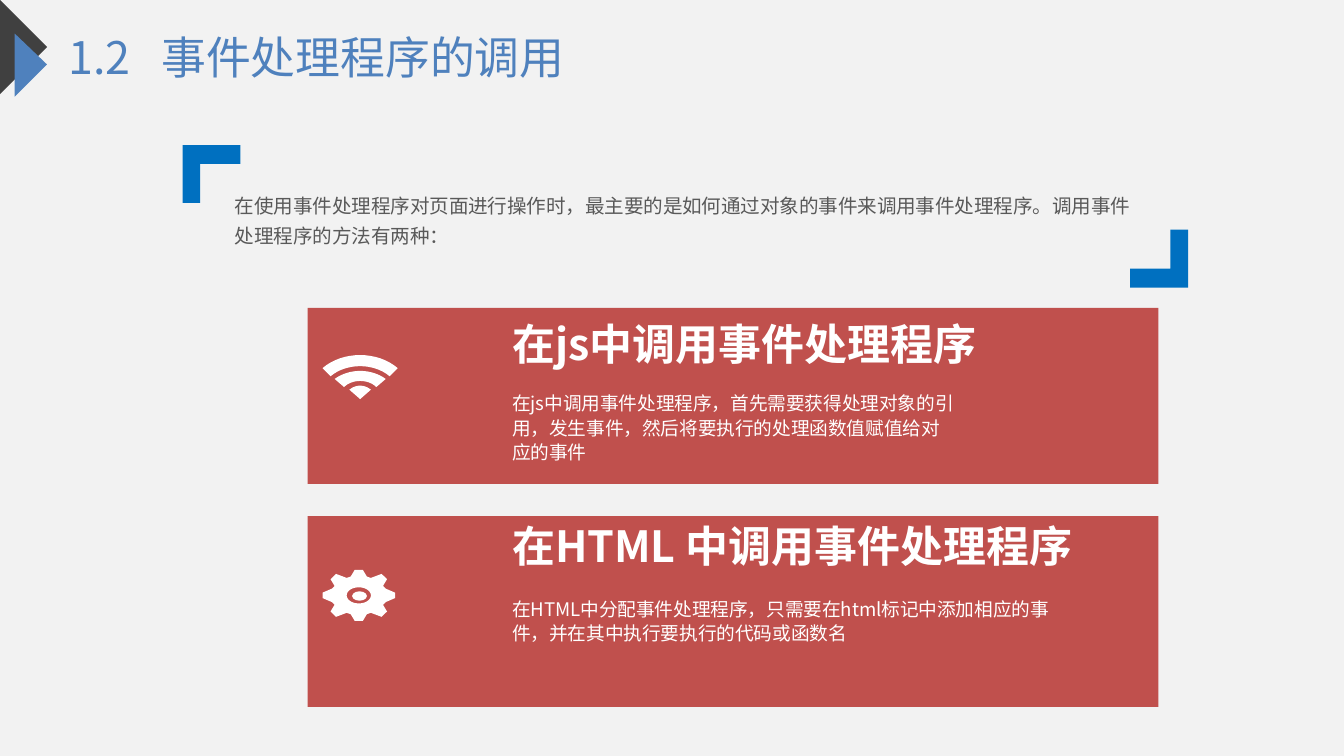
from math import cos, pi, sin

from lxml import etree
from pptx import Presentation
from pptx.dml.color import RGBColor
from pptx.enum.shapes import MSO_SHAPE
from pptx.enum.text import MSO_AUTO_SIZE
from pptx.oxml.ns import qn
from pptx.util import Inches, Pt

RECTANGLE, OVAL = MSO_SHAPE.RECTANGLE, MSO_SHAPE.OVAL
GROW = MSO_AUTO_SIZE.SHAPE_TO_FIT_TEXT
FONT = "Noto Sans CJK SC"
WHITE, RED, BLUE, ACCENT = "FFFFFF", "C0504D", "0070C0", "4F81BD"
DARK, GREY, BACKGROUND = "404040", "595959", "F2F2F2"

TITLE = "1.2\t事件处理程序的调用"
INTRO = ("在使用事件处理程序对页面进行操作时，最主要的是如何通过对象的事件来调用事件处理程序。"
         "调用事件处理程序的方法有两种：")
CARDS = [
    {"top": 2.29, "height": 1.31,
     "heading": ("在js中调用事件处理程序", (3.74, 2.32, 3.86, 0.46)),
     "body": ("在js中调用事件处理程序，首先需要获得处理对象的引用，发生事件，"
              "然后将要执行的处理函数值赋值给对应的事件", (3.74, 2.86, 3.44, 0.63))},
    {"top": 3.84, "height": 1.42,
     "heading": ("在HTML 中调用事件处理程序", (3.74, 3.83, 4.66, 0.46)),
     "body": ("在HTML中分配事件处理程序，只需要在html标记中添加相应的事件，"
              "并在其中执行要执行的代码或函数名", (3.74, 4.39, 4.23, 0.45))},
]
CARD_LEFT, CARD_WIDTH = 2.29, 6.33

TRIANGLES = [
    ([(0, 0), (0.35, 0.35), (0, 0.7)], DARK),
    ([(0.11, 0.25), (0.35, 0.48), (0.11, 0.72)], ACCENT),
]
BRACKET = [(0, 0), (0.43, 0), (0.43, 0.14), (0.13, 0.14), (0.13, 0.43), (0, 0.43)]
BRACKET_CORNERS = [(1.36, 1.08, 1), (8.84, 2.14, -1)]

WIFI_CENTER = 2.68
WIFI_BANDS = [
    ((0.08, 2.9, 0.03, 2.86), (0, 2.97, 0, 2.97)),
    ((0.19, 2.82, 0.08, 2.74), (0.12, 2.88, 0.06, 2.82)),
    ((0.28, 2.74, 0.13, 2.61), (0.22, 2.8, 0.1, 2.7)),
]
GEAR_CENTER = (2.67, 4.43)
GEAR_QUARTER = [(0.27, 0.02), (0.2, 0.05), (0.18, 0.07), (0.21, 0.12),
                (0.17, 0.16), (0.09, 0.13), (0.06, 0.14), (0.03, 0.19)]

PLAIN = {"margin_left": 0, "margin_right": 0, "margin_top": 0, "margin_bottom": 0}
INSET = {"margin_left": Inches(0.07), "margin_right": Inches(0.07),
         "margin_top": Inches(0.04), "margin_bottom": Inches(0.04)}


def color(value):
    return RGBColor.from_string(value)


def paint(shape, fill):
    shape.shadow.inherit = False
    shape.fill.solid()
    shape.fill.fore_color.rgb = color(fill)
    shape.line.fill.background()


def add_preset(shapes, kind, bounds, fill):
    paint(shapes.add_shape(kind, *map(Inches, bounds)), fill)


def add_outline(shapes, contours, fill):
    first, *holes = [[(Inches(x), Inches(y)) for x, y in points] for points in contours]
    builder = shapes.build_freeform(*first[0])
    builder.add_line_segments(first[1:], close=True)
    for hole in holes:
        builder.move_to(*hole[0])
        builder.add_line_segments(hole[1:], close=True)
    paint(builder.convert_to_shape(), fill)


def add_text(page, text, bounds, size, fill, frame_format, bold=False, spacing=1.0, tab=None):
    frame = page.shapes.add_textbox(*map(Inches, bounds)).text_frame
    for name, value in frame_format.items():
        setattr(frame, name, value)
    frame.auto_size = GROW
    para = frame.paragraphs[0]
    para.line_spacing = spacing
    if tab:
        stops = etree.SubElement(para._p.get_or_add_pPr(), qn("a:tabLst"))
        etree.SubElement(stops, qn("a:tab"), pos=str(Inches(tab)), algn="l")
    span = para.add_run()
    span.text = text
    for name, value in {"name": FONT, "size": Pt(size), "bold": bold}.items():
        setattr(span.font, name, value)
    span.font.color.rgb = color(fill)
    east_asian = etree.SubElement(span.font._element, qn("a:ea"))
    east_asian.set("typeface", FONT)


def arch(half_width, foot, control_width, control_height, steps=16):
    points = []
    for step in range(steps + 1):
        t = step / steps
        reach = half_width * ((1 - t) ** 3 - t ** 3)
        reach += 3 * t * (1 - t) * (1 - 2 * t) * control_width
        lift = 3 * t * (1 - t)
        points.append((WIFI_CENTER - reach, foot * (1 - lift) + control_height * lift))
    return points


def add_wifi(page):
    group = page.shapes.add_group_shape()
    for outer, inner in WIFI_BANDS:
        add_outline(group.shapes, [arch(*outer) + arch(*inner)[::-1]], WHITE)


def add_gear(page):
    group = page.shapes.add_group_shape()
    center_x, center_y = GEAR_CENTER
    rim = []
    for sign_x, sign_y in [(1, 1), (-1, 1), (-1, -1), (1, -1)]:
        quarter = GEAR_QUARTER if sign_x == sign_y else GEAR_QUARTER[::-1]
        rim += [(center_x + sign_x * x, center_y + sign_y * y) for x, y in quarter]
    angles = [2 * pi * step / 32 for step in range(32)]
    hole = [(center_x + 0.09 * cos(a), center_y + 0.06 * sin(a)) for a in angles]
    add_outline(group.shapes, [rim, hole], WHITE)
    add_preset(group.shapes, OVAL, (2.62, 4.4, 0.11, 0.07), WHITE)


def main():
    deck = Presentation()
    deck.slide_width = Inches(10)
    deck.slide_height = deck.slide_width * 9 // 16
    page = deck.slides.add_slide(deck.slide_layouts[6])
    page.background.fill.solid()
    page.background.fill.fore_color.rgb = color(BACKGROUND)

    for card in CARDS:
        bounds = (CARD_LEFT, card["top"], CARD_WIDTH, card["height"])
        add_preset(page.shapes, RECTANGLE, bounds, RED)
    add_gear(page)
    add_wifi(page)
    for points, fill in TRIANGLES:
        add_outline(page.shapes, [points], fill)

    wrapped = {**INSET, "word_wrap": True}
    first, second = CARDS
    for card in (first, second):
        add_text(page, *card["heading"], 23, WHITE, wrapped, bold=True)
        add_text(page, *card["body"], 10, WHITE, wrapped, spacing=1.1)
    add_text(page, TITLE, (0.51, 0.22, 3.71, 0.4), 24, ACCENT,
             {**PLAIN, "word_wrap": False}, tab=0.69)

    for x, y, sign in BRACKET_CORNERS:
        add_outline(page.shapes, [[(x + sign * dx, y + sign * dy) for dx, dy in BRACKET]], BLUE)
    add_text(page, INTRO, (1.65, 1.34, 7.01, 0.56), 10.5, GREY,
             {"word_wrap": True}, spacing=1.3)
    deck.save("out.pptx")


if __name__ == "__main__":
    main()
